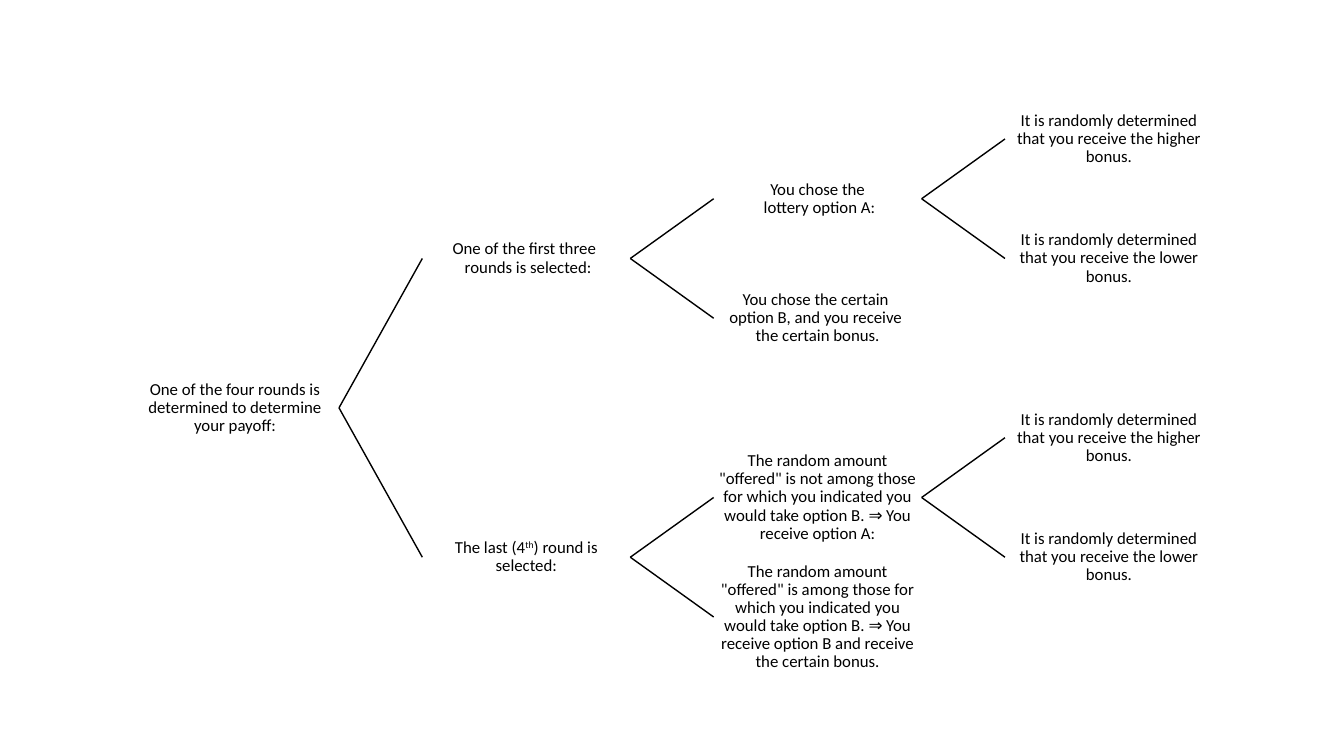
from pptx import Presentation
from pptx.dml.color import RGBColor
from pptx.enum.shapes import MSO_CONNECTOR
from pptx.enum.text import MSO_ANCHOR, PP_ALIGN
from pptx.oxml.ns import qn
from pptx.util import Emu, Pt
from lxml.etree import SubElement

BLACK = RGBColor(0, 0, 0)
SCALE = 914400 / 100.8
SLIDE_WIDTH, SLIDE_HEIGHT = 1344, 756
BOX_WIDTH, BOX_HEIGHT = 202, 98
LINE_GAP, INSET = 3, 1
FIRST_LEFT, LAST_LEFT, LAST_COLUMN = 134, 1008, 3
FIRST_CENTER, LAST_CENTER, LAST_ROW = 139, 617, 8
SUPERSCRIPT_MARK = "^"

HIGHER = "It is randomly determined that you receive the higher bonus."
LOWER = "It is randomly determined that you receive the lower bonus."

PAYOFF_TREE = ("One of the four rounds is determined to determine your payoff:", [
    ("One of the first three \n rounds is selected:", [
        ("You chose the\n lottery option A:", [(HIGHER, 0), (LOWER, 2)]),
        ("You chose the certain \noption B, and you receive \nthe certain bonus.", 3),
    ]),
    ("The last (4^th^) round is selected:", [
        ('The random amount "offered" is not among those for which you indicated '
         "you would take option B. ⇒ You receive option A:", [(HIGHER, 5), (LOWER, 7)]),
        ('The random amount "offered" is among those for which you indicated you '
         "would take option B. ⇒ You receive option B and receive the certain bonus.", 8),
    ]),
])

FRAME_FORMAT = {"word_wrap": True, "vertical_anchor": MSO_ANCHOR.MIDDLE}
FRAME_FORMAT.update({f"margin_{side}": Emu(round(INSET * SCALE))
                     for side in ("left", "top", "right", "bottom")})
PARA_FORMAT = {"alignment": PP_ALIGN.CENTER, "line_spacing": 0.9}
FONT_FORMAT = {"name": "Calibri", "size": Pt(12)}


def emu(*pixels):
    return [Emu(round(value * SCALE)) for value in pixels]


def apply(target, values):
    for name, value in values.items():
        setattr(target, name, value)


def column_left(column):
    return FIRST_LEFT + column * (LAST_LEFT - FIRST_LEFT) / LAST_COLUMN


def row_center(row):
    return FIRST_CENTER + row * (LAST_CENTER - FIRST_CENTER) / LAST_ROW


def node_row(node):
    branches = node[1]
    if isinstance(branches, int):
        return branches
    return sum(map(node_row, branches)) / len(branches)


def write_text(para, text):
    for index, piece in enumerate(text.split(SUPERSCRIPT_MARK)):
        for number, line in enumerate(piece.split("\n")):
            if number:
                para.add_line_break()
            span = para.add_run()
            span.text = line
            apply(span.font, FONT_FORMAT)
            span.font.color.rgb = BLACK
            if index % 2:
                span.font._element.set("baseline", "30000")


def add_box(page, text, left, center):
    box = page.shapes.add_textbox(*emu(left, center - BOX_HEIGHT / 2, BOX_WIDTH, BOX_HEIGHT))
    apply(box.text_frame, FRAME_FORMAT)
    para = box.text_frame.paragraphs[0]
    apply(para, PARA_FORMAT)
    write_text(para, text)


def add_branch(page, *ends):
    branch = page.shapes.add_connector(MSO_CONNECTOR.STRAIGHT, *emu(*ends))
    branch.line.color.rgb = BLACK
    branch.line.width = Pt(1)
    SubElement(branch._element.spPr, qn("a:effectLst"))


def add_node(page, node, column=0):
    text, branches = node
    left, center = column_left(column), row_center(node_row(node))
    add_box(page, text, left, center)
    if isinstance(branches, int):
        return
    for child in branches:
        add_branch(page, left + BOX_WIDTH + LINE_GAP, center,
                   column_left(column + 1) - LINE_GAP, row_center(node_row(child)))
        add_node(page, child, column + 1)


deck = Presentation()
deck.slide_width, deck.slide_height = emu(SLIDE_WIDTH, SLIDE_HEIGHT)
page = deck.slides.add_slide(deck.slide_layouts[6])
add_node(page, PAYOFF_TREE)
deck.save("out.pptx")
